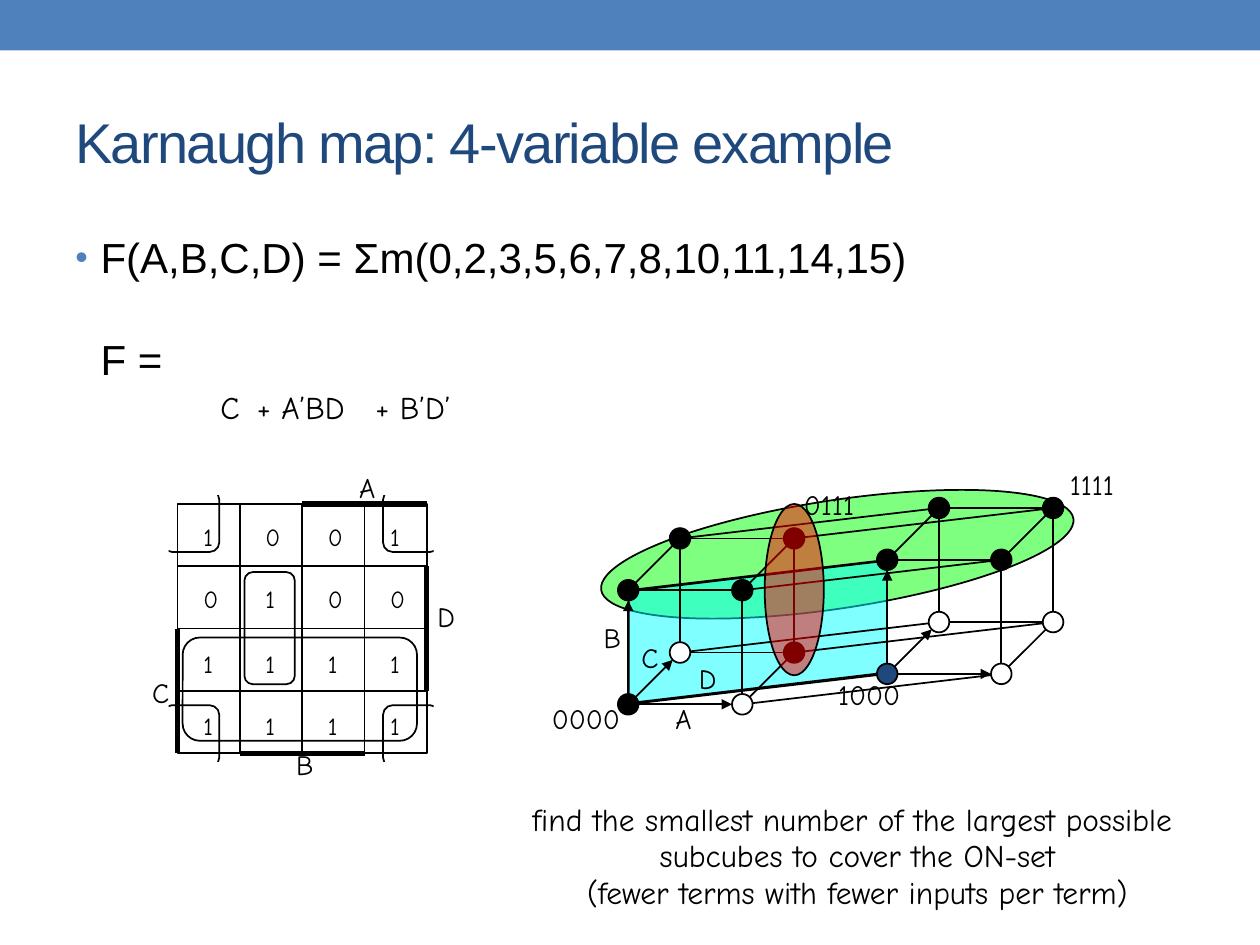
from itertools import product
from math import hypot

from lxml.etree import SubElement
from pptx import Presentation
from pptx.dml.color import RGBColor
from pptx.enum.shapes import MSO_CONNECTOR, MSO_SHAPE
from pptx.enum.text import MSO_ANCHOR, PP_ALIGN
from pptx.oxml.ns import qn
from pptx.util import Pt

COLORS = {"black": "000000", "white": "FFFFFF", "bar": "4F81BD", "navy": "1F497D",
          "green": "00FF00", "cyan": "00FFFF", "red": "FF0000"}
HAND = "Comic Neue"
TIGHT = (1.5, 2)
TAB = 35.5


def rgb(name):
    return RGBColor.from_string(COLORS[name])


def add_shape(s, kind, x, y, w, h, fill=None, line="black", alpha=None, rotation=0):
    sp = s.shapes.add_shape(kind, Pt(x), Pt(y), Pt(w), Pt(h))
    sp.shadow.inherit = False
    sp.rotation = rotation
    if fill:
        sp.fill.solid()
        sp.fill.fore_color.rgb = rgb(fill)
        if alpha:
            clr = sp._element.spPr.find(".//" + qn("a:srgbClr"))
            SubElement(clr, qn("a:alpha"), val=str(alpha * 1000))
    else:
        sp.fill.background()
    if line:
        sp.line.color.rgb = rgb(line)
        sp.line.width = Pt(1)
    else:
        sp.line.fill.background()
    return sp


def add_line(s, x1, y1, x2, y2, width=1, arrow=False):
    c = s.shapes.add_connector(MSO_CONNECTOR.STRAIGHT, Pt(x1), Pt(y1), Pt(x2), Pt(y2))
    c.line.color.rgb = rgb("black")
    c.line.width = Pt(width)
    if arrow:
        SubElement(c.line._get_or_add_ln(), qn("a:tailEnd"), type="triangle")
    SubElement(c._element.spPr, qn("a:effectLst"))
    return c


def add_text(s, x, y, w, h, paragraphs, size, font=HAND, color="black", inset=TIGHT,
             leading=None, gap=0, align=PP_ALIGN.LEFT, wrap=False):
    """Each paragraph is a string; a newline in it is a line break."""
    tf = s.shapes.add_textbox(Pt(x), Pt(y), Pt(w), Pt(h)).text_frame
    tf.word_wrap = wrap
    tf.margin_left = tf.margin_right = Pt(inset[0])
    tf.margin_top = tf.margin_bottom = Pt(inset[1])
    for i, content in enumerate(paragraphs):
        p = tf.add_paragraph() if i else tf.paragraphs[0]
        p.alignment = align
        if "\t" in content:
            tabs = SubElement(p._p.get_or_add_pPr(), qn("a:tabLst"))
            SubElement(tabs, qn("a:tab"), pos=str(Pt(TAB)), algn="l")
        if leading:
            p.line_spacing = Pt(leading)
        if i and gap:
            p.space_before = Pt(gap)
        for j, part in enumerate(content.split("\n")):
            if j:
                p.add_line_break()
            r = p.add_run()
            r.text = part
            r.font.size = Pt(size)
            r.font.name = font
            r.font.color.rgb = rgb(color)
    return tf


def add_label(s, x, y, content, w=45):
    add_text(s, x, y, w, 26, [content], 16, leading=15.8)


def add_header(s, x, y, w, h):
    add_shape(s, MSO_SHAPE.RECTANGLE, 0, 0, 720, 28.8, "bar", None)
    tf = add_text(s, x, y, w, h, ["Karnaugh map: 4-variable example"], 32, "Arial", "navy",
                  (7.2, 3.6), wrap=True)
    tf.vertical_anchor = MSO_ANCHOR.MIDDLE
    tf.paragraphs[0].runs[0].font._element.set("spc", "-100")


def add_body(s, x, y, w, h):
    tf = add_text(s, x, y, w, h, ["F(A,B,C,D) = Σm(0,2,3,5,6,7,8,10,11,14,15)", "F ="],
                  24, "Arial", inset=(7.2, 3.6), gap=29.5, wrap=True)
    for p, bullet in zip(tf.paragraphs, (True, False)):
        pPr = p._p.get_or_add_pPr()
        pPr.set("marL", str(Pt(14.4)))
        pPr.set("indent", str(Pt(-14.4 if bullet else 0)))
        if bullet:
            clr = SubElement(pPr, qn("a:buClr"))
            SubElement(clr, qn("a:srgbClr"), val=COLORS["bar"])
            SubElement(pPr, qn("a:buSzPct"), val="85000")
            SubElement(pPr, qn("a:buFont"), typeface="Arial")
            SubElement(pPr, qn("a:buChar"), char="•")


def add_formula(s, x, y):
    for dx, w, term in ((0, 25, "C"), (20.9, 69, "+ A’BD"), (88.6, 59, "+ B’D’")):
        add_text(s, x + dx, y, w, 29, [term], 18, inset=(7.2, 3.6))


def add_loops(s, x, y, side):
    """Outline the three groups of ones; the corner group wraps round the map."""
    add_shape(s, MSO_SHAPE.ROUNDED_RECTANGLE, x + 2.9, y + 76.3, 133.9, 59)
    add_shape(s, MSO_SHAPE.ROUNDED_RECTANGLE, x + 38.2, y + 38.9, 28.8, 64.1)
    pieces = (
        (MSO_SHAPE.ROUNDED_RECTANGLE, -8.6, -7.9, 32.4, 35.3, None, "black"),
        (MSO_SHAPE.RECTANGLE, -17.3, -13, 12.2, 42.5, "white", None),
        (MSO_SHAPE.RECTANGLE, -18, -17.3, 42.5, 12.2, "white", None),
    )
    for right, bottom in product((False, True), repeat=2):
        for kind, dx, dy, w, h, fill, line in pieces:
            left = x + (side - 1.2 - dx - w if right else dx)
            top = y + (side - dy - h if bottom else dy)
            add_shape(s, kind, left, top, w, h, fill, line)


def add_map(s, x, y, side):
    add_loops(s, x, y, side)
    half, cell = side / 2, side / 4
    quadrants = {(0, 0): ("1\t0", "0\t1"), (1, 0): ("0\t1", "0\t0"),
                 (0, 1): ("1\t1", "1\t1"), (1, 1): ("1\t1", "1\t1")}
    for (col, row), values in quadrants.items():
        qx, qy = x + col * half, y + row * half
        add_text(s, qx + 13.2, qy + 7 + 1.7 * row, 64, 63.4, values, 14, leading=17.8, gap=17.8)
        sp = add_shape(s, MSO_SHAPE.RECTANGLE, qx, qy, half, half)
        for start, end in ((0, 2), (1, 3)):
            c = add_line(s, qx, qy, qx + half, qy)
            c.begin_connect(sp, start)
            c.end_connect(sp, end)
    # Side bars, in cells: the half of the map where each variable is 1
    for x1, y1, x2, y2 in ((2, 0, 4, 0), (4, 1, 4, 3), (1, 4, 3, 4), (0, 2, 0, 4)):
        add_line(s, x + x1 * cell, y + y1 * cell, x + x2 * cell, y + y2 * cell, 3)
    for dx, dy, name in ((102.3, -18, "A"), (146.9, 56.2, "D"), (66.3, 140.4, "B")):
        add_label(s, x + dx, y + dy, name)
    add_text(s, x - 21.6, y + 94.3, 24, 26, ["C"], 16, inset=(7.2, 3.6))


def add_hypercube(s, x, y):
    """Draw the 4-cube with its 0000 corner at (x, y)."""
    axes = ((65.2, 0), (0, -65.2), (29.6, -29.6), (148, -17.4))
    radius = 5.9

    def place(vertex):
        return (x + sum(bit * axis[0] for bit, axis in zip(vertex, axes)),
                y + sum(bit * axis[1] for bit, axis in zip(vertex, axes)))

    add_shape(s, MSO_SHAPE.OVAL, x - 17, y - 116.7, 272.9, 61.9, "green", alpha=50,
              rotation=351.4)
    sp = add_shape(s, MSO_SHAPE.PARALLELOGRAM, x + 33.4, y - 115.2, 81.4, 147.6, "cyan",
                   alpha=50, rotation=90)
    sp.adjustments[0] = 0.215
    sp._element.spPr.find(qn("a:xfrm")).set("flipV", "1")

    for dx, dy, name in ((38.9, -23, "D"), (25.5, 0, "A"), (-15.6, -46.8, "B"),
                         (6, -35.3, "C"), (-45.1, 0, "0000"), (250.8, -134, "1111"),
                         (118.4, -13.7, "1000"), (98.9, -122.4, "0111")):
        add_label(s, x + dx, y + dy, name, 63)

    vertices = list(product((0, 1), repeat=4))
    for vertex, k in product(vertices, range(4)):
        if vertex[k]:
            continue
        dx, dy = axes[k]
        length = hypot(dx, dy)
        arrow = k < 3 and not any(vertex[:3])
        start = radius / length if k < 2 else 0
        end = 1 - (radius / length if k < 2 or arrow else 0)
        vx, vy = place(vertex)
        add_line(s, vx + dx * start, vy + dy * start, vx + dx * end, vy + dy * end,
                 arrow=arrow)
    fills = {(0, 0, 0, 0): "black", (1, 0, 1, 0): "black", (0, 0, 0, 1): "navy"}
    for vertex in vertices:
        vx, vy = place(vertex)
        fill = "black" if vertex[1] else fills.get(vertex, "white")
        add_shape(s, MSO_SHAPE.OVAL, vx - radius, vy - radius, 2 * radius, 2 * radius, fill)
    add_shape(s, MSO_SHAPE.OVAL, x + 78, y - 114.5, 33.8, 97.9, "red", alpha=50)


def add_goal(s, x, y, w, h):
    add_text(s, x, y, w, h,
             ["find the smallest number of the largest possible \nsubcubes to cover the ON-set",
              "(fewer terms with fewer inputs per term)"],
             18, leading=20.8, align=PP_ALIGN.CENTER)


def main():
    prs = Presentation()
    prs.slide_width, prs.slide_height = Pt(720), Pt(540)
    s = prs.slides.add_slide(prs.slide_layouts[6])
    add_header(s, 36, 41.8, 648, 77.8)
    add_body(s, 36, 129, 648, 380)
    add_formula(s, 118.8, 218.2)
    add_map(s, 101.5, 288, 142.4)
    add_hypercube(s, 359, 402.5)
    add_goal(s, 291.6, 455.8, 396.7, 72)
    prs.save("out.pptx")


if __name__ == "__main__":
    main()
